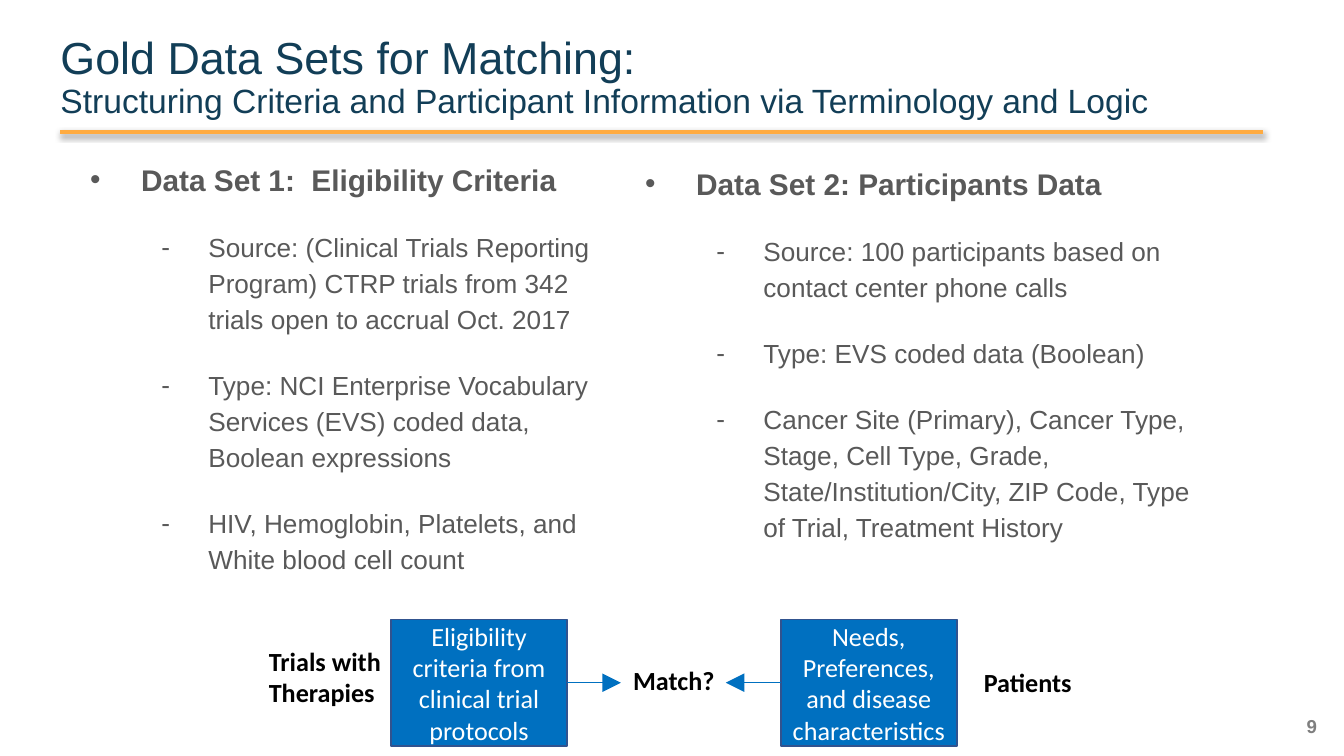
import pptx
import pptx.util
import pptx.dml.color
import pptx.enum.shapes
import pptx.enum.text
import pptx.oxml
import pptx.oxml.ns

Inches = pptx.util.Inches
Pt = pptx.util.Pt
ALIGN = pptx.enum.text.PP_ALIGN
ANCHOR = pptx.enum.text.MSO_ANCHOR
NS = pptx.oxml.ns.nsdecls("a")

COLORS = {
    "title": "123E57",
    "body": "595959",
    "rule": "FFAB40",
    "box": "0070C0",
    "box_line": "31538F",
    "white": "FFFFFF",
    "black": "000000",
    "number": "7F7F7F",
}

CRITERIA = [
    "Data Set 1:  Eligibility Criteria",
    "Source: (Clinical Trials Reporting Program) CTRP trials from 342 trials open to accrual Oct. 2017",
    "Type: NCI Enterprise Vocabulary Services (EVS) coded data, Boolean expressions",
    "HIV, Hemoglobin, Platelets, and White blood cell count",
]
PARTICIPANTS = [
    "Data Set 2: Participants Data",
    "Source: 100 participants based on contact center phone calls",
    "Type: EVS coded data (Boolean)",
    "Cancer Site (Primary), Cancer Type, Stage, Cell Type, Grade, "
    "State/Institution/City, ZIP Code, Type of Trial, Treatment History",
]


class SlideBuilder:
    heading_font = "Arial"
    diagram_font = "Calibri"

    def __init__(self, slide):
        self.s = slide

    def color(self, name):
        return pptx.dml.color.RGBColor.from_string(COLORS[name])

    def element(self, xml):
        return pptx.oxml.parse_xml(xml)

    def place(self, sp, x, y, w, h):
        sp.left, sp.top, sp.width, sp.height = map(Inches, (x, y, w, h))

    def frame(self, sp, insets, anchor):
        tf = sp.text_frame
        tf.word_wrap = True
        tf.auto_size = pptx.enum.text.MSO_AUTO_SIZE.NONE
        tf.vertical_anchor = anchor
        tf.margin_left, tf.margin_top, tf.margin_right, tf.margin_bottom = map(Inches, insets)
        return tf

    def style(self, p, font, size, color, bold=False):
        for r in p.runs:
            r.font.name = font
            r.font.size = Pt(size)
            r.font.bold = bold
            r.font.color.rgb = self.color(color)

    def title(self, heading, subtitle, x, y, w, h):
        sp = self.s.shapes.title
        self.place(sp, x, y, w, h)
        p = self.frame(sp, (0, 0, 0, 0), ANCHOR.BOTTOM).paragraphs[0]
        p.text = f"{heading}\v{subtitle}"
        p.alignment = ALIGN.LEFT
        p.line_spacing = 0.9
        self.style(p, self.heading_font, 24, "title")
        p.runs[-1].font.size = Pt(18)
        br = p._p.find(pptx.oxml.ns.qn("a:br"))
        br.append(self.element(f'<a:rPr {NS} sz="2400"/>'))

    def bullet(self, p, char, left, hanging):
        pPr = p._p.get_or_add_pPr()
        pPr.set("marL", str(Inches(left)))
        pPr.set("indent", str(-Inches(hanging)))
        for xml in (
            f'<a:buClr {NS}><a:srgbClr val="{COLORS["body"]}"/></a:buClr>',
            f'<a:buFont {NS} typeface="{self.heading_font}"/>',
            f'<a:buChar {NS} char="{char}"/>',
        ):
            pPr.append(self.element(xml))

    def bullets(self, idx, lines, x, y, w, h):
        sp = self.s.placeholders[idx]
        self.place(sp, x, y, w, h)
        tf = self.frame(sp, (0.1, 0.1, 0.1, 0.1), ANCHOR.TOP)
        tf.text = "\n".join(lines)
        for i, p in enumerate(tf.paragraphs):
            heading = i == 0
            p.level = 0 if heading else 1
            self.bullet(p, *(("•", 0.5, 0.38) if heading else ("-", 1, 0.35)))
            p.alignment = ALIGN.LEFT
            p.line_spacing = 1.15
            p.space_before = Pt(0 if heading else 16)
            p.space_after = Pt(0)
            self.style(p, self.heading_font, 16 if heading else 14, "body", heading)

    def text(self, text, x, y, w, h, font, size, color, insets, anchor, align):
        sp = self.s.shapes.add_textbox(*map(Inches, (x, y, w, h)))
        tf = self.frame(sp, insets, anchor)
        tf.text = text
        p = tf.paragraphs[0]
        p.alignment = align
        self.style(p, font, size, color, True)

    def label(self, text, x, y, w, h):
        self.text(text, x, y, w, h, self.diagram_font, 14, "black",
                  (0.07, 0.04, 0, 0.04), ANCHOR.BOTTOM, ALIGN.LEFT)

    def number(self, text, x, y, w, h):
        self.text(text, x, y, w, h, self.heading_font, 10, "number",
                  (0, 0, 0, 0), ANCHOR.TOP, ALIGN.RIGHT)

    def box(self, text, x, y, w, h):
        sp = self.s.shapes.add_shape(
            pptx.enum.shapes.MSO_SHAPE.RECTANGLE, *map(Inches, (x, y, w, h)))
        sp.shadow.inherit = False
        sp.fill.solid()
        sp.fill.fore_color.rgb = self.color("box")
        sp.line.color.rgb = self.color("box_line")
        sp.line.width = Pt(1)
        tf = self.frame(sp, (0.07, 0.04, 0.07, 0.04), ANCHOR.MIDDLE)
        tf.text = text
        p = tf.paragraphs[0]
        p.alignment = ALIGN.CENTER
        self.style(p, self.diagram_font, 14, "white")
        return sp

    def line(self, x1, y1, x2, y2, color, width, effect=""):
        sp = self.s.shapes.add_connector(
            pptx.enum.shapes.MSO_CONNECTOR.STRAIGHT, *map(Inches, (x1, y1, x2, y2)))
        sp.line.color.rgb = self.color(color)
        sp.line.width = Pt(width)
        sp._element.spPr.append(self.element(f"<a:effectLst {NS}>{effect}</a:effectLst>"))
        return sp

    def rule(self, x1, x2, y):
        self.line(x1, y, x2, y, "rule", 2, (
            f'<a:outerShdw blurRad="{Pt(3.1)}" dist="{Pt(1.6)}" dir="5400000" rotWithShape="0">'
            f'<a:srgbClr val="{COLORS["black"]}"><a:alpha val="38000"/></a:srgbClr></a:outerShdw>'))

    def arrow(self, box, site, x1, x2, y):
        sp = self.line(x1, y, x2, y, "box", 0.75)
        sp.begin_connect(box, site)
        sp.line._get_or_add_ln().append(
            self.element(f'<a:tailEnd {NS} type="triangle" w="lg" len="lg"/>'))


def main():
    prs = pptx.Presentation()
    prs.slide_width = Inches(10)
    prs.slide_height = prs.slide_width * 9 // 16
    s = SlideBuilder(prs.slides.add_slide(prs.slide_layouts[3]))

    s.title("Gold Data Sets for Matching:",
            "Structuring Criteria and Participant Information via Terminology and Logic",
            0.45, 0.59, 9.55, 0.31)
    s.rule(0.45, 9.4, 0.98)
    s.bullets(1, CRITERIA, 0.45, 1.06, 4.13, 2.95)
    s.bullets(2, PARTICIPANTS, 4.58, 1.09, 4.49, 3.37)

    box_y, box_w, box_h = 4.61, 1.31, 0.94
    trials_x, patients_x = 2.91, 5.81
    mid_y = box_y + box_h / 2
    trials = s.box("Eligibility criteria from clinical trial protocols", trials_x, box_y, box_w, box_h)
    patients = s.box("Needs, Preferences, and disease characteristics", patients_x, box_y, box_w, box_h)
    s.arrow(trials, 3, trials_x + box_w, 4.62, mid_y)
    s.arrow(patients, 1, patients_x, 5.4, mid_y)

    s.label("Trials with Therapies", 1.93, 4.53, 0.98, 0.78)
    s.label("Match?", 4.64, 4.44, 0.76, 0.78)
    s.label("Patients", 7.25, 4.45, 1.04, 0.78)
    s.number("9", 9.46, 5.32, 0.34, 0.2)

    prs.save("out.pptx")


if __name__ == "__main__":
    main()
